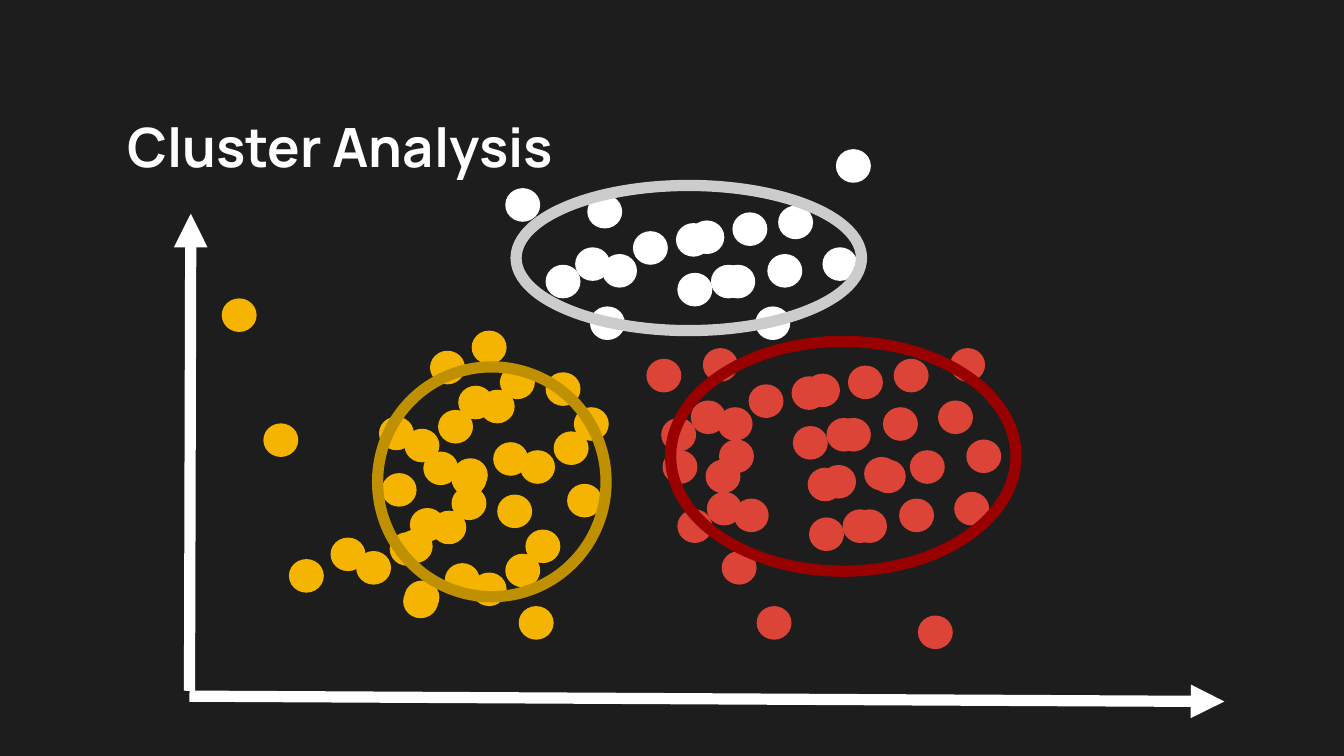
from dataclasses import dataclass

from lxml import etree
from pptx import Presentation
from pptx.dml.color import RGBColor
from pptx.enum.shapes import MSO_CONNECTOR, MSO_SHAPE
from pptx.enum.text import MSO_ANCHOR
from pptx.oxml.ns import qn
from pptx.util import Inches, Pt

LINE = MSO_CONNECTOR.STRAIGHT
DOT = MSO_SHAPE.OVAL
RING = MSO_SHAPE.FLOWCHART_CONNECTOR
BOTTOM = MSO_ANCHOR.BOTTOM


@dataclass(frozen=True)
class Theme:
    """Colours, font and sizes of the slide."""
    back: str = "1D1D1D"
    white: str = "FFFFFF"
    gold: str = "F4B400"
    red: str = "DB4437"
    dark_gold: str = "BF9000"
    dark_red: str = "990000"
    grey: str = "CCCCCC"
    font: str = "Manrope"
    title: float = 29
    stroke: float = 6


THEME = Theme()
DOT_SIZE = (0.26, 0.25)

WIDE = [(0, 0), (0.11, 0.44), (1.84, 0), (0.76, 0.19), (1.08, 0.13), (1.34, 0.44)]
STEEP = [(0, 0), (-0.5, 0.06), (0.19, -0.58), (0.4, -0.32), (0.25, -0.14), (0.35, 0.25)]

CLUSTERS = [
    (THEME.white, WIDE,
     [(4.37, 1.45, 2), (4.28, 1.84, None), (3.95, 1.53, 0)],
     [(6.22, 1.11), (3.76, 1.4)]),
    (THEME.gold, STEEP,
     [(2.65, 4.1, None), (2.96, 3.94, None), (3.51, 4.26, None),
      (3.01, 3.19, 1), (3.32, 3.04, 0), (3.87, 3.35, None)],
     [(1.96, 3.15), (1.65, 2.22)]),
    (THEME.red, WIDE,
     [(5.23, 2.59, None), (5.14, 2.98, None), (4.81, 2.67, None),
      (5.35, 3.27, None), (5.26, 3.66, 5), (4.93, 3.35, 3)],
     [(6.83, 4.58), (5.63, 4.51)]),
]

RINGS = [
    (THEME.dark_red, (4.99, 2.54, 2.57, 1.71)),
    (THEME.dark_gold, (2.81, 2.73, 1.7, 1.71)),
    (THEME.grey, (3.84, 1.38, 2.57, 1.08)),
]

AXES = [(1.41, 5.14, 1.42, 1.59), (1.41, 5.18, 9.11, 5.22)]


def rgb(code):
    """Turn a hex code into a colour."""
    return RGBColor.from_string(code)


def add_axis(slide, ends):
    """Draw a thick axis with an arrowhead at its far end."""
    axis = slide.shapes.add_connector(LINE, *map(Inches, ends))
    axis.line.color.rgb = rgb(THEME.white)
    axis.line.width = Pt(THEME.stroke)
    props = axis._element.spPr
    head = etree.SubElement(props.find(qn("a:ln")), qn("a:tailEnd"))
    head.set("type", "triangle")
    etree.SubElement(props, qn("a:effectLst"))


def add_dot(slide, x, y, color):
    """Draw one data point."""
    dot = slide.shapes.add_shape(DOT, *map(Inches, (x, y, *DOT_SIZE)))
    dot.shadow.inherit = False
    dot.fill.solid()
    dot.fill.fore_color.rgb = rgb(color)
    dot.line.fill.background()


def add_cluster(slide, color, motif, swarms, strays):
    """Draw swarms, each less the dot at its skip index, and stray points."""
    for x, y, skip in swarms:
        for i, (dx, dy) in enumerate(motif):
            if i != skip:
                add_dot(slide, x + dx, y + dy, color)
    for x, y in strays:
        add_dot(slide, x, y, color)


def add_ring(slide, color, box):
    """Draw the outline around a cluster."""
    ring = slide.shapes.add_shape(RING, *map(Inches, box))
    ring.shadow.inherit = False
    ring.fill.background()
    ring.line.color.rgb = rgb(color)
    ring.line.width = Pt(THEME.stroke)


def add_title(slide, text, box):
    """Write the slide title."""
    frame = slide.shapes.add_textbox(*map(Inches, box)).text_frame
    frame.word_wrap = True
    frame.vertical_anchor = BOTTOM
    frame.margin_left = frame.margin_right = Inches(0.1)
    frame.margin_top = frame.margin_bottom = Inches(0.1)
    para = frame.paragraphs[0]
    para.line_spacing = 1.5
    para.space_before = para.space_after = Pt(10)
    run = para.add_run()
    run.text = text
    run.font.name = THEME.font
    run.font.size = Pt(THEME.title)
    run.font.bold = True
    run.font.color.rgb = rgb(THEME.white)


def main():
    """Build and save the slide."""
    deck = Presentation()
    deck.slide_width = Inches(10)
    deck.slide_height = Inches(10 * 9 / 16)
    slide = deck.slides.add_slide(deck.slide_layouts[6])
    slide.background.fill.solid()
    slide.background.fill.fore_color.rgb = rgb(THEME.back)
    for ends in AXES:
        add_axis(slide, ends)
    for cluster in CLUSTERS:
        add_cluster(slide, *cluster)
    add_title(slide, "Cluster Analysis", (0.85, 0.3, 7.43, 1.13))
    for color, box in RINGS:
        add_ring(slide, color, box)
    deck.save("out.pptx")


if __name__ == "__main__":
    main()
